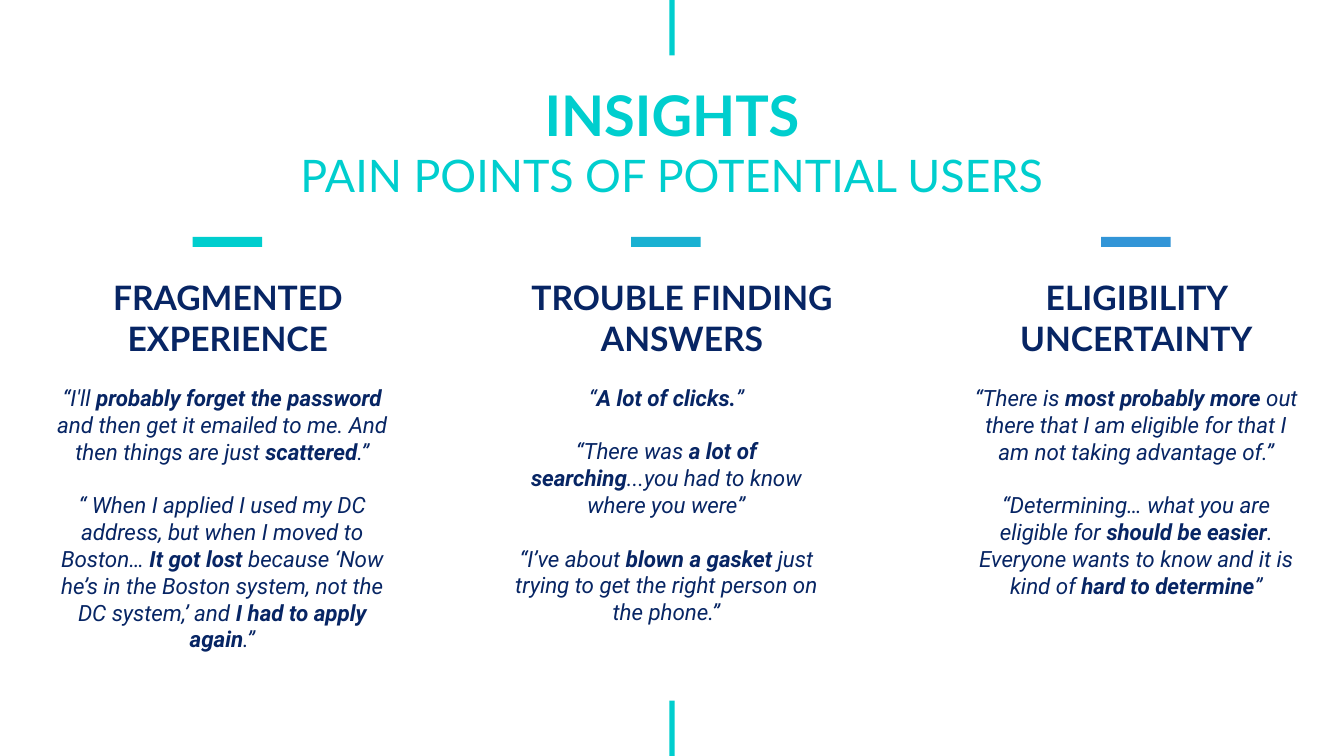
import pptx
import pptx.dml.color
import pptx.enum.shapes
import pptx.enum.text
import pptx.util

PX = 9144
TEAL, NAVY = "00CECE", "072564"
INSET = 13

COLUMNS = [
    (TEAL, 191, (30, 392), (36, 369, 92), "FRAGMENTED EXPERIENCE", [
        "“I'll *probably forget the password* and then get it emailed to me. "
        "And then things are just *scattered*.”",
        "“ When I applied I used my DC address, but when I moved to Boston… "
        "*It got lost* because ‘Now he’s in the Boston system, not the DC "
        "system,’ and *I had to apply again*.”",
    ]),
    ("19B1D2", 626, (510, 333), (498, 326, 263), "TROUBLE FINDING ANSWERS", [
        "“*A lot of clicks.*”",
        "“There was *a lot of searching*...you had to know where you were”",
        "“I’ve about *blown a gasket *just trying to get the right person "
        "on the phone.”",
    ]),
    ("3295D7", 1092, (976, 302), (949, 356, 242), "ELIGIBILITY UNCERTAINTY", [
        "“There is *most probably more* out there that I am eligible for "
        "that I am not taking advantage of.”",
        "“Determining… what you are eligible for *should be easier*. "
        "Everyone wants to know and it is kind of *hard to determine*”",
    ]),
]


def color(value):
    """Turn a hex string into a colour."""
    return pptx.dml.color.RGBColor.from_string(value)


def place(*lengths):
    """Turn px lengths into EMU."""
    return [length * PX for length in lengths]


def style(font, name, size, ink, bold, italic=False):
    """Set the look of a font."""
    font.name, font.size = name, pptx.util.Pt(size)
    font.bold, font.italic = bold, italic
    font.color.rgb = color(ink)


def set_frame(frame, anchor):
    """Set wrapping, insets and anchor of a text frame."""
    frame.word_wrap = True
    frame.auto_size = pptx.enum.text.MSO_AUTO_SIZE.NONE
    frame.vertical_anchor = anchor
    frame.margin_left = frame.margin_right = INSET * PX
    frame.margin_top = frame.margin_bottom = INSET * PX


def add_bar(page, left, top, width, height, fill):
    """Draw a plain filled bar."""
    bar = page.shapes.add_shape(
        pptx.enum.shapes.MSO_SHAPE.RECTANGLE, *place(left, top, width, height))
    bar.shadow.inherit = False
    bar.fill.solid()
    bar.fill.fore_color.rgb = color(fill)
    bar.line.fill.background()


def set_title(page):
    """Fill the title placeholder with its two lines."""
    title = page.shapes.title
    title.left, title.top, title.width, title.height = place(115, 67, 1103, 130)
    frame = title.text_frame
    frame.text = "INSIGHTS\nPAIN POINTS OF POTENTIAL USERS"
    set_frame(frame, pptx.enum.text.MSO_ANCHOR.TOP)
    for para, size, bold in zip(frame.paragraphs, (40, 32), (True, False)):
        para.alignment = pptx.enum.text.PP_ALIGN.CENTER
        style(para.runs[0].font, "Lato", size, TEAL, bold)


def add_heading(page, left, width, text):
    """Add a column heading that stands on the top of its quotes."""
    box = page.shapes.add_textbox(*place(left, 284, width, 84))
    set_frame(box.text_frame, pptx.enum.text.MSO_ANCHOR.BOTTOM)
    para = box.text_frame.paragraphs[0]
    para.text = text
    para.alignment = pptx.enum.text.PP_ALIGN.CENTER
    style(para.runs[0].font, "Lato", 24, NAVY, True)


def add_quotes(page, left, width, height, quotes):
    """Add quotes, one a paragraph, with the words between asterisks bold."""
    box = page.shapes.add_textbox(*place(left, 368, width, height))
    frame = box.text_frame
    set_frame(frame, pptx.enum.text.MSO_ANCHOR.TOP)
    for number, quote in enumerate(quotes):
        para = frame.add_paragraph() if number else frame.paragraphs[0]
        para.alignment = pptx.enum.text.PP_ALIGN.CENTER
        if number:
            para.space_before = pptx.util.Pt(19)
        for index, words in enumerate(quote.split("*")):
            span = para.add_run()
            span.text = words
            style(span.font, "Roboto", 16, NAVY, index % 2 == 1, True)


def main():
    """Build the slide and save it."""
    deck = pptx.Presentation()
    deck.slide_width, deck.slide_height = place(1333, 750)
    page = deck.slides.add_slide(deck.slide_layouts[5])
    for top in (0, 695):
        add_bar(page, 664, top, 5, 55, TEAL)
    set_title(page)
    for fill, bar_left, heading, body, name, quotes in COLUMNS:
        add_bar(page, bar_left, 235, 69, 10, fill)
        add_heading(page, *heading, name)
        add_quotes(page, *body, quotes)
    deck.save("out.pptx")


if __name__ == "__main__":
    main()
